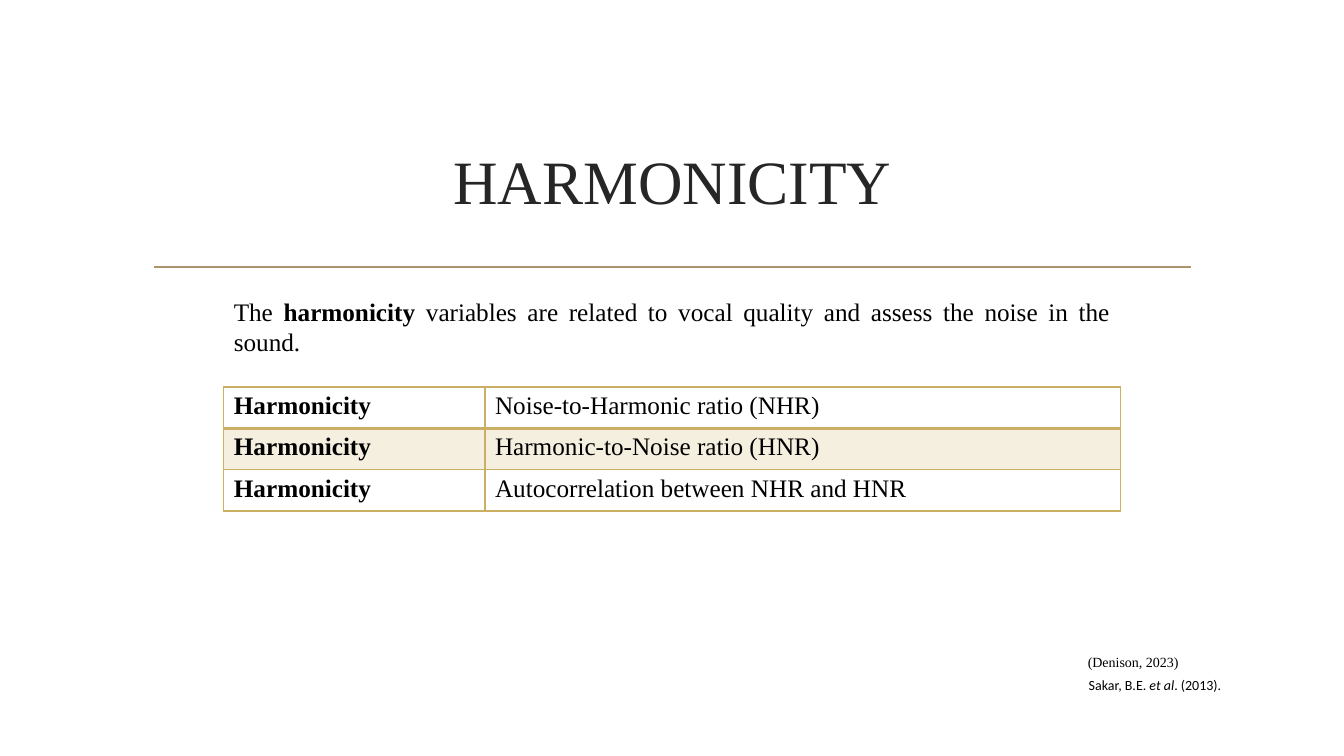
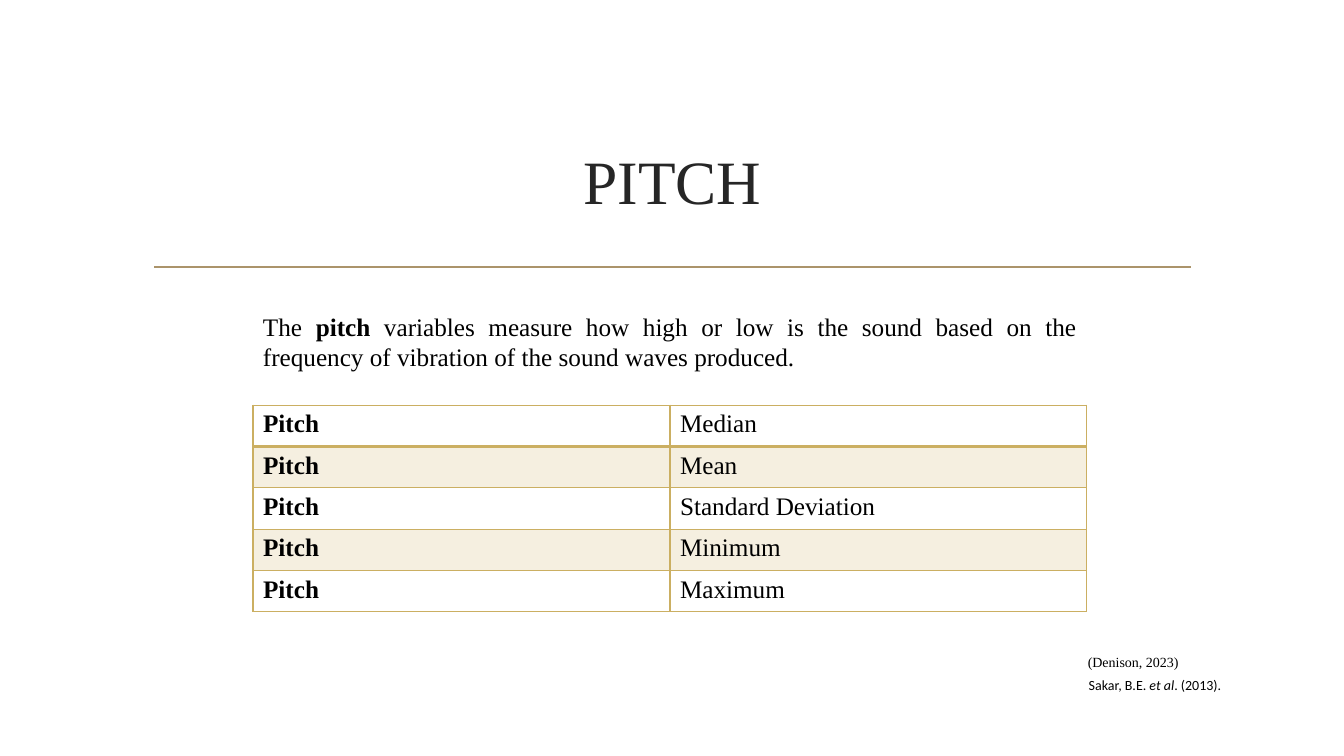
from lxml import etree
from pptx import Presentation
from pptx import util as u
from pptx.dml.color import RGBColor
from pptx.enum import shapes, text
from pptx.oxml.ns import qn

INK = RGBColor(0x00, 0x00, 0x00)
TITLE_INK = RGBColor(0x26, 0x26, 0x26)
RULE = RGBColor(0xAB, 0x94, 0x6B)
GOLD = RGBColor(0xCB, 0xAF, 0x62)
BAND = RGBColor(0xF5, 0xEF, 0xE0)
SERIF, SANS = "Times New Roman", "Calibri"
ROW_HEIGHT = u.Inches(0.41)

# Citations: left, top, width, font, runs
CITATIONS = [
    (10.7, 6.66, 1.64, SANS, [("Sakar, B.E. ", ""), ("et al", "i"), (". (2013).", "")]),
    (10.69, 6.43, 1.18, SERIF, [("(Denison, 2023)", "")]),
]

TOPICS = [
    dict(
        name="Harmonicity", left=2.22, intro_top=2.89, table_top=3.84,
        columns=[2.59, 6.3],
        intro=" variables are related to vocal quality and assess the noise in the sound.",
        measures=["Noise-to-Harmonic ratio (NHR)", "Harmonic-to-Noise ratio (HNR)",
                  "Autocorrelation between NHR and HNR"],
    ),
    dict(
        name="Pitch", left=2.51, intro_top=3.04, table_top=4.02,
        columns=[4.135, 4.135],
        intro=" variables measure how high or low is the sound based on the "
              "frequency of vibration of the sound waves produced.",
        measures=["Median", "Mean", "Standard Deviation", "Minimum", "Maximum"],
    ),
]


def write(frame, runs, size=18, font=SERIF, color=INK, align=text.PP_ALIGN.LEFT, wrap=True):
    """Fill a frame with one paragraph of (words, style); style holds b and/or i."""
    frame.word_wrap = wrap
    paragraph = frame.paragraphs[0]
    paragraph.alignment = align
    for words, style in runs:
        run = paragraph.add_run()
        run.text = words
        run.font.name = font
        run.font.size = u.Pt(size)
        run.font.color.rgb = color
        run.font.bold = "b" in style
        run.font.italic = "i" in style


def add_borders(cell, **points):
    """Draw the borders L, R, T and B, which must come before the cell's fill."""
    properties = cell._tc.get_or_add_tcPr()
    for place, (side, width) in enumerate(points.items()):
        line = etree.Element(qn(f"a:ln{side}"), w=str(u.Pt(width)))
        fill = etree.SubElement(line, qn("a:solidFill"))
        etree.SubElement(fill, qn("a:srgbClr"), val=str(GOLD))
        properties.insert(place, line)


deck = Presentation()
deck.slide_width, deck.slide_height = u.Inches(13.33), u.Inches(7.5)
title_only = deck.slide_layouts[5]

for topic in TOPICS:
    slide = deck.slides.add_slide(title_only)
    name, measures = topic["name"], topic["measures"]
    left = u.Inches(topic["left"])
    columns = [u.Inches(width) for width in topic["columns"]]

    rule = slide.shapes.add_connector(
        shapes.MSO_CONNECTOR.STRAIGHT,
        u.Inches(1.53), u.Inches(2.65), u.Inches(11.81), u.Inches(2.65))
    rule.line.color.rgb = RULE
    rule.line.width = u.Pt(1.25)
    etree.SubElement(rule._element.spPr, qn("a:effectLst"))

    title = slide.shapes.title
    title.left, title.top = u.Inches(1.42), u.Inches(1.07)
    title.width, title.height = u.Inches(10.5), u.Inches(1.43)
    title.text_frame.vertical_anchor = text.MSO_ANCHOR.MIDDLE
    write(title.text_frame, [(name.upper(), "")], size=44, color=TITLE_INK,
          align=text.PP_ALIGN.CENTER)

    intro = slide.shapes.add_textbox(
        left, u.Inches(topic["intro_top"]), sum(columns), u.Inches(0.71))
    write(intro.text_frame, [("The ", ""), (name.lower(), "b"), (topic["intro"], "")],
          align=text.PP_ALIGN.JUSTIFY)

    table = slide.shapes.add_table(
        len(measures), len(columns), left, u.Inches(topic["table_top"]),
        sum(columns), ROW_HEIGHT * len(measures)).table
    table.first_row = table.horz_banding = False
    for column, width in zip(table.columns, columns):
        column.width = width
    for row, measure in enumerate(measures):
        for column, run in enumerate([(name, "b"), (measure, "")]):
            cell = table.cell(row, column)
            write(cell.text_frame, [run])
            if row % 2:
                cell.fill.solid()
                cell.fill.fore_color.rgb = BAND
            else:
                cell.fill.background()
            add_borders(cell, L=1, R=1, T=2 if row == 1 else 1, B=2 if row == 0 else 1)

    for x, y, width, font, runs in CITATIONS:
        citation = slide.shapes.add_textbox(
            u.Inches(x), u.Inches(y), u.Inches(width), u.Inches(0.27))
        write(citation.text_frame, runs, size=10, font=font, wrap=False)

deck.save("out.pptx")
